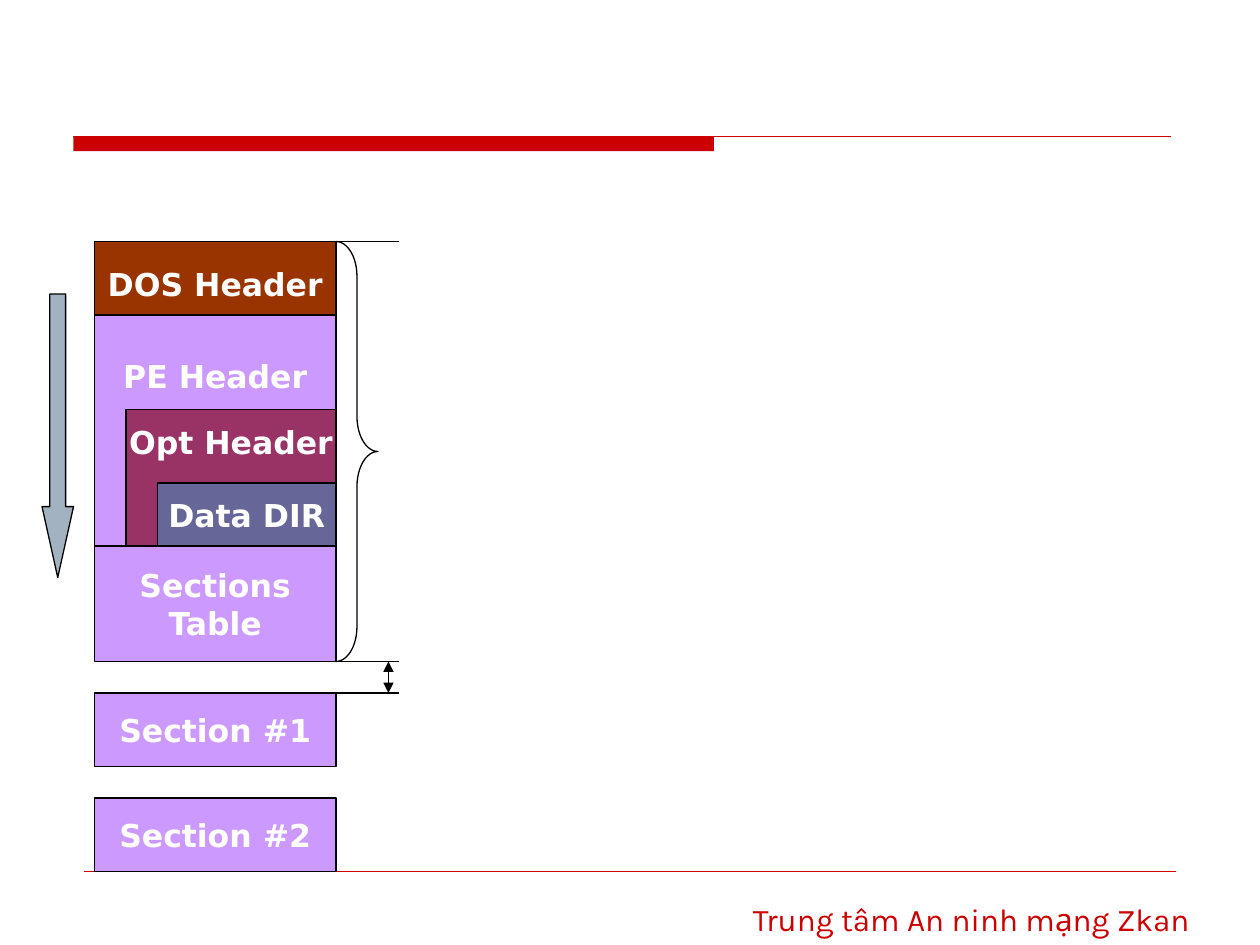
from typing import NamedTuple, Optional

from lxml import etree
from pptx import Presentation
from pptx import util as u
from pptx.dml.color import RGBColor
from pptx.enum import shapes, text
from pptx.oxml import ns

PX = u.Inches(1) // 120
COLORS = {
    "red": "CC0000", "brown": "993300", "lilac": "CC99FF", "plum": "993366",
    "slate": "666699", "steel": "A3B2C1", "black": "000000", "white": "FFFFFF",
}
LEFT, RIGHT = 90, 320  # edges of the file layout column
TICK_END = 380


class Block(NamedTuple):
    label: str
    left: int
    top: int
    height: int
    color: str
    text_top: Optional[int] = None  # label is centred vertically when unset


class Rule(NamedTuple):
    x1: int
    y1: int
    x2: int
    y2: int
    color: str = "black"
    width: float = 0.75
    arrows: bool = False


BLOCKS = [
    Block("DOS Header", LEFT, 230, 80, "brown"),
    Block("PE Header", LEFT, 300, 220, "lilac", 40),
    Block("Opt Header", 120, 390, 130, "plum", 13),
    Block("Sections\nTable", LEFT, 520, 110, "lilac"),
    Block("Section #1", LEFT, 660, 70, "lilac"),
    Block("Section #2", LEFT, 760, 70, "lilac"),
    Block("Data DIR", 150, 460, 60, "slate"),
]
HEADER_RULES = [
    Rule(70, 130, 1115, 130, "red"),
    Rule(80, 830, 1120, 830, "red", 0.25),
]
MEASURE_RULES = [
    Rule(280, 230, TICK_END, 230),
    Rule(310, 630, TICK_END, 630),
    Rule(310, 660, TICK_END, 660),
    Rule(370, 630, 370, 660, arrows=True),
]


def rgb(name: str) -> RGBColor:
    return RGBColor.from_string(COLORS[name])


def add_shape(page, kind, left: int, top: int, width: int, height: int,
              fill: Optional[str] = None, line: Optional[str] = "black"):
    shape = page.shapes.add_shape(kind, left * PX, top * PX, width * PX, height * PX)
    shape.shadow.inherit = False
    if fill:
        shape.fill.solid()
        shape.fill.fore_color.rgb = rgb(fill)
    else:
        shape.fill.background()
    if line:
        shape.line.color.rgb = rgb(line)
        shape.line.width = u.Pt(0.75)
    else:
        shape.line.fill.background()
    return shape


def write(frame, words: str, font: str, color: str, align, bold: bool = False) -> None:
    frame.text = words
    for para in frame.paragraphs:
        para.alignment = align
        for span in para.runs:
            span.font.name = font
            span.font.size = u.Pt(18)
            span.font.bold = bold
            span.font.color.rgb = rgb(color)


def draw_block(page, block: Block) -> None:
    box = add_shape(page, shapes.MSO_SHAPE.RECTANGLE, block.left, block.top,
                    RIGHT - block.left, block.height, block.color)
    frame = box.text_frame
    frame.word_wrap = False
    frame.vertical_anchor = text.MSO_ANCHOR.MIDDLE
    if block.text_top is not None:
        frame.vertical_anchor = text.MSO_ANCHOR.TOP
        frame.margin_top = block.text_top * PX
    write(frame, block.label, "DejaVu Sans", "white", text.PP_ALIGN.CENTER, bold=True)


def draw_rule(page, rule: Rule) -> None:
    line = page.shapes.add_connector(shapes.MSO_CONNECTOR.STRAIGHT, rule.x1 * PX,
                                     rule.y1 * PX, rule.x2 * PX, rule.y2 * PX)
    line.line.color.rgb = rgb(rule.color)
    line.line.width = u.Pt(rule.width)
    properties = line._element.spPr
    etree.SubElement(properties, ns.qn("a:effectLst"))
    if rule.arrows:
        outline = properties.find(ns.qn("a:ln"))
        for end in ("a:headEnd", "a:tailEnd"):
            etree.SubElement(outline, ns.qn(end), type="triangle")


def main() -> None:
    deck = Presentation()
    deck.slide_width, deck.slide_height = u.Inches(10), u.Inches(7.5)
    page = deck.slides.add_slide(deck.slide_layouts[6])

    # Title bar, footer line and footer
    add_shape(page, shapes.MSO_SHAPE.RECTANGLE, 70, 130, 610, 14, "red", None)
    for rule in HEADER_RULES:
        draw_rule(page, rule)
    footer = page.shapes.add_textbox(660 * PX, 851 * PX, 485 * PX, 48 * PX)
    footer.text_frame.word_wrap = True
    write(footer.text_frame, "Trung tâm An ninh mạng Zkan", "Karla", "red",
          text.PP_ALIGN.RIGHT)

    # File layout
    for block in BLOCKS:
        draw_block(page, block)

    # Reading direction
    arrow = add_shape(page, shapes.MSO_SHAPE.DOWN_ARROW, 40, 280, 30, 270, "steel")
    arrow.adjustments[0], arrow.adjustments[1] = 0.5, 2.25

    # Header extent and the gap after it
    brace = add_shape(page, shapes.MSO_SHAPE.RIGHT_BRACE, RIGHT, 230, 40, 400)
    brace.adjustments[0], brace.adjustments[1] = 0.83, 0.5
    for rule in MEASURE_RULES:
        draw_rule(page, rule)

    deck.save("out.pptx")


if __name__ == "__main__":
    main()
